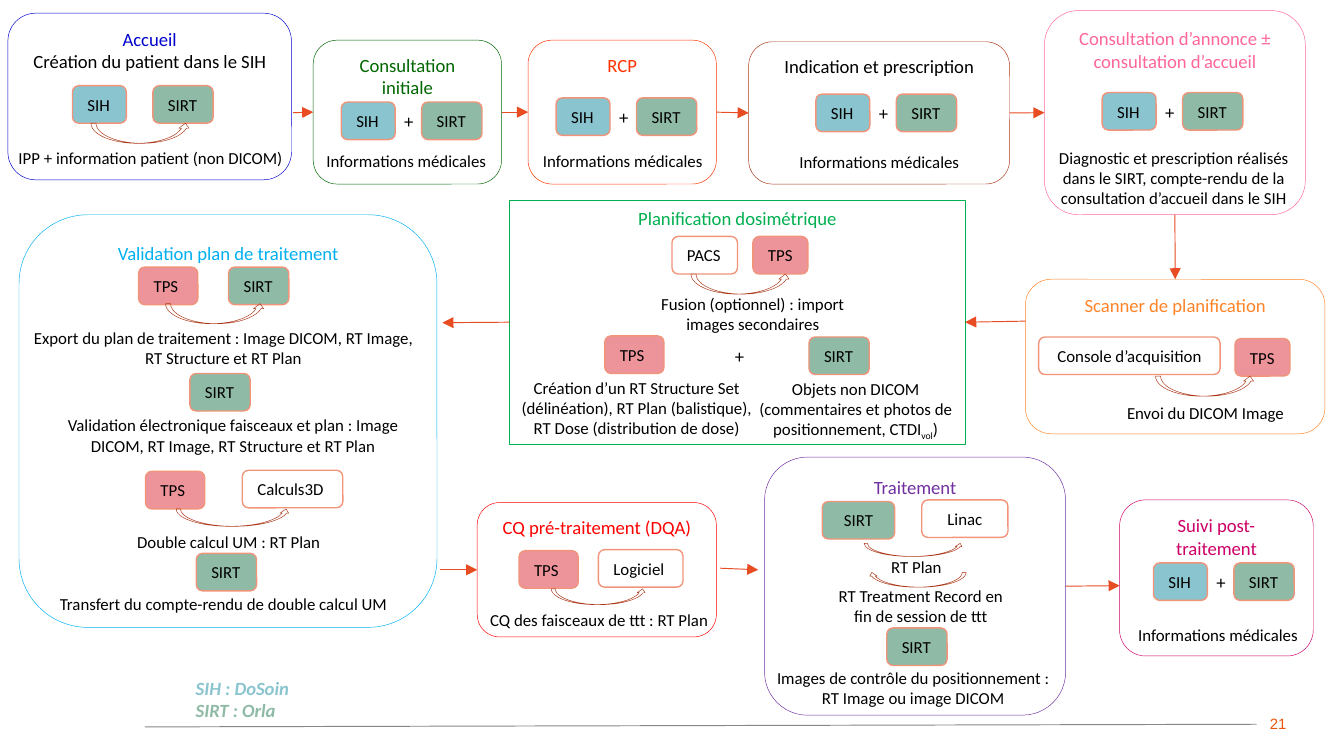
from pptx import Presentation
from pptx.dml.color import RGBColor
from pptx.enum.shapes import MSO_CONNECTOR, MSO_SHAPE
from pptx.enum.text import MSO_ANCHOR, MSO_AUTO_SIZE, PP_ALIGN
from pptx.oxml.ns import qn
from pptx.util import Cm, Pt
from lxml import etree

ROUNDED, RECTANGLE = MSO_SHAPE.ROUNDED_RECTANGLE, MSO_SHAPE.RECTANGLE
CURVED = MSO_SHAPE.CURVED_UP_ARROW
STRAIGHT = MSO_CONNECTOR.STRAIGHT
TOP = MSO_ANCHOR.TOP
LEFT, CENTER = PP_ALIGN.LEFT, PP_ALIGN.CENTER
GROW = MSO_AUTO_SIZE.SHAPE_TO_FIT_TEXT
SITE_TOP, SITE_LEFT, SITE_BOTTOM, SITE_RIGHT = range(4)

BLACK, BLUE, GREEN, PINK = "000000", "8AC4CE", "8EBAA6", "ED949B"
SYSTEMS = {"SIH": (BLUE, 1.02), "SIRT": (GREEN, 1.14), "TPS": (PINK, 1.12)}
CHIP_HEIGHT = 0.71
MEDICAL = "Informations médicales"


def rgb(value):
    return RGBColor.from_string(value)


def style(paragraph, size, color=BLACK, align=LEFT, font="Calibri"):
    paragraph.alignment = align
    for run in paragraph.runs:
        run.font.name, run.font.size = font, Pt(size)
        run.font.color.rgb = rgb(color)


def outlined(slide, kind, x, y, w, h, line, weight, fill=None):
    shape = slide.shapes.add_shape(kind, Cm(x), Cm(y), Cm(w), Cm(h))
    shape.shadow.inherit = False
    shape.line.color.rgb, shape.line.width = rgb(line), Pt(weight)
    if fill:
        shape.fill.solid()
        shape.fill.fore_color.rgb = rgb(fill)
    else:
        shape.fill.background()
    return shape


class Stage:
    """A framed step of the workflow; its parts are placed from its top left corner."""

    def __init__(self, slide, box, title, color, title_color=None, kind=ROUNDED):
        self.slide = slide
        self.x, self.y = box[:2]
        self.frame = outlined(slide, kind, *box, color, 0.25)
        text = self.frame.text_frame
        text.word_wrap, text.vertical_anchor = True, TOP
        text.text = title
        for paragraph, tint in zip(text.paragraphs, (title_color or color, BLACK)):
            style(paragraph, 10, tint, CENTER)

    def chip(self, name, x, y, width=None, align=LEFT):
        fill, usual_width = SYSTEMS.get(name, (None, width))
        chip = outlined(self.slide, ROUNDED, self.x + x, self.y + y,
                        width or usual_width, CHIP_HEIGHT, "F1947A", 0.75, fill)
        text = chip.text_frame
        text.word_wrap, text.auto_size = align == CENTER, GROW
        text.text = name
        style(text.paragraphs[0], 9, align=align)

    def note(self, content, x, y, w, lines=1, wrap=True, size=9):
        box = self.slide.shapes.add_textbox(
            Cm(self.x + x), Cm(self.y + y), Cm(w), Cm(0.25 + 0.39 * lines))
        text = box.text_frame
        text.word_wrap, text.auto_size = wrap, GROW
        text.text = content
        style(text.paragraphs[0], size, align=CENTER if wrap else LEFT)
        return text.paragraphs[0]

    def plus(self, x, y):
        self.note("+", x, y, 0.69, wrap=False, size=10)

    def transfer(self, x, y, w=1.88, h=0.38, backwards=False):
        curve = outlined(self.slide, CURVED, self.x + x, self.y + y, w, h, "AC3819", 0.25)
        if backwards:
            curve._element.spPr.find(qn("a:xfrm")).set("flipH", "1")


def consultation(slide, box, title, color, pair, note_at, title_color=None,
                 note=MEDICAL, note_width=3.58, lines=1):
    """Stage that records in both SIH and SIRT."""
    stage = Stage(slide, box, title, color, title_color)
    x, y = pair
    stage.chip("SIH", x, y)
    stage.plus(x + 0.94, y + 0.03)
    stage.chip("SIRT", x + 1.52, y)
    stage.note(note, *note_at, note_width, lines, wrap=lines > 1)
    return stage.frame


def reception(slide, box):
    stage = Stage(slide, box, "Accueil\nCréation du patient dans le SIH", "0000CC")
    stage.chip("SIH", 1.22, 1.37)
    stage.chip("SIRT", 2.74, 1.37)
    stage.transfer(1.57, 2.08)
    stage.note("IPP + information patient (non DICOM)", -0.05, 2.41, 5.56, wrap=False)


def scanner(slide, box):
    stage = Stage(slide, box, "Scanner de planification", "FF8427")
    stage.chip("Console d’acquisition", 0.25, 1.09, 3.43, CENTER)
    stage.chip("TPS", 3.96, 1.12, 1.04)
    stage.transfer(2.46, 1.83)
    stage.note("Envoi du DICOM Image", 1.57, 2.21, 3.66)
    return stage.frame


def planning(slide, box):
    stage = Stage(slide, box, "Planification dosimétrique", "00B050", kind=RECTANGLE)
    stage.chip("PACS", 3.07, 0.69, 1.24)
    stage.chip("TPS", 4.6, 0.69, 1.04)
    stage.transfer(3.43, 1.4)
    stage.note("Fusion (optionnel) : import images secondaires", 2.41, 1.65, 4.37, 2)
    stage.chip("TPS", 1.8, 2.57)
    stage.plus(4.01, 2.62)
    stage.chip("SIRT", 5.66, 2.59)
    stage.note("Création d’un RT Structure Set (délinéation), RT Plan (balistique), "
               "RT Dose (distribution de dose)", -0.1, 3.23, 5, 3)
    objects = stage.note("Objets non DICOM (commentaires et photos de positionnement, CTDI",
                         4.47, 3.25, 4.14, 3)
    subscript = objects.add_run()
    subscript.text = "vol"
    objects.add_run().text = ")"
    style(objects, 9, align=CENTER)
    subscript.font._element.set("baseline", "-25000")
    return stage.frame


def validation(slide, box):
    stage = Stage(slide, box, "Validation plan de traitement", "00B0F0")
    stage.chip("TPS", 2.26, 0.99)
    stage.chip("SIRT", 3.96, 0.99)
    stage.transfer(2.77, 1.68)
    stage.note("Export du plan de traitement : Image DICOM, RT Image, "
               "RT Structure et RT Plan", 0, 2.01, 7.72, 2)
    stage.chip("SIRT", 3.23, 3)
    stage.note("Validation électronique faisceaux et plan : Image DICOM, RT Image, "
               "RT Structure et RT Plan", 0.18, 3.66, 7.72, 2)
    stage.chip("TPS", 2.39, 4.85)
    stage.chip("Calculs3D", 4.22, 4.83, 1.9)
    stage.transfer(2.97, 5.56, 2.16, 0.33)
    stage.note("Double calcul UM : RT Plan", 0.1, 5.87, 7.72)
    stage.chip("SIRT", 3.35, 6.4)
    stage.note("Transfert du compte-rendu de double calcul UM", 0, 7.04, 7.72)


def quality_check(slide, box):
    stage = Stage(slide, box, "CQ pré-traitement (DQA)", "FF0000")
    stage.chip("TPS", 0.79, 0.91)
    stage.chip("Logiciel", 2.29, 0.89, 1.6)
    stage.transfer(1.4, 1.63, 1.8, 0.3)
    stage.note("CQ des faisceaux de ttt : RT Plan", -0.05, 1.9, 4.7)
    return stage.frame


def treatment(slide, box):
    stage = Stage(slide, box, "Traitement", "7030A0")
    stage.chip("SIRT", 1.09, 0.84, 1.37, CENTER)
    stage.chip("Linac", 2.97, 0.81, 1.63, CENTER)
    stage.transfer(1.88, 1.63, h=0.25)
    stage.note("RT Plan", 1.04, 1.75, 3.66)
    stage.transfer(1.96, 2.18, 1.85, 0.28, backwards=True)
    stage.note("RT Treatment Record en fin de session de ttt", 1.12, 2.31, 3.66, 2)
    stage.chip("SIRT", 2.31, 3.23)
    stage.note("Images de contrôle du positionnement : RT Image ou image DICOM",
               -0.08, 3.86, 5.77, 2)
    return stage.frame


def connector(slide, x1, y1, x2, y2, color):
    line = slide.shapes.add_connector(STRAIGHT, Cm(x1), Cm(y1), Cm(x2), Cm(y2))
    line.line.color.rgb, line.line.width = rgb(color), Pt(0.5)
    etree.SubElement(line._element.spPr, qn("a:effectLst"))
    return line


def flow(slide, start, end):
    """Arrow between two ends, each either (x, y) in cm or (frame, site)."""
    points = [(0, 0) if hasattr(p[0], "shape_id") else p for p in (start, end)]
    arrow = connector(slide, *points[0], *points[1], "E84C22")
    for end_point, join in ((start, arrow.begin_connect), (end, arrow.end_connect)):
        if hasattr(end_point[0], "shape_id"):
            join(*end_point)
    etree.SubElement(arrow.line._get_or_add_ln(), qn("a:tailEnd"), type="triangle")


def footer(slide, x, y):
    connector(slide, x, y + 1.07, x + 21.01, y + 1.02, "878787")
    number = slide.shapes.add_textbox(Cm(x + 21.01), Cm(y + 0.72), Cm(1.09), Cm(0.64))
    number.text_frame.text = "21"
    style(number.text_frame.paragraphs[0], 8, "EA560D", font="Arial")
    legend = slide.shapes.add_textbox(Cm(x + 0.71), Cm(y), Cm(2.31), Cm(1.12)).text_frame
    legend.word_wrap, legend.auto_size = False, GROW
    legend.text = "SIH : DoSoin\nSIRT : Orla"
    for paragraph, color in zip(legend.paragraphs, (BLUE, GREEN)):
        style(paragraph, 10, color)
        paragraph.runs[0].font.bold = paragraph.runs[0].font.italic = True


def main():
    deck = Presentation()
    deck.slide_width, deck.slide_height = Cm(25.4), Cm(14.29)
    slide = deck.slides.add_slide(deck.slide_layouts[6])

    reception(slide, (0.15, 0.25, 5.36, 3.15))
    first = consultation(slide, (5.92, 0.76, 3.56, 2.72), "Consultation initiale",
                         "006600", (0.53, 1.17), (0, 1.96))
    meeting = consultation(slide, (9.98, 0.76, 3.56, 2.72), "RCP", "FF3300",
                           (0.53, 1.09), (0.03, 1.96))
    indication = consultation(slide, (14.15, 0.79, 4.93, 2.69), "Indication et prescription",
                              "AC3819", (1.27, 0.99), (0.71, 1.96), BLACK)
    announcement = consultation(
        slide, (19.74, 0.2, 4.93, 3.86), "Consultation d’annonce ± consultation d’accueil",
        "FF6699", (1.09, 1.55), (-0.28, 2.46), note_width=5.44, lines=3,
        note="Diagnostic et prescription réalisés dans le SIRT, compte-rendu de la "
             "consultation d’accueil dans le SIH")
    scan = scanner(slide, (19.38, 5.28, 5.66, 2.92))
    plan = planning(slide, (9.63, 3.78, 8.61, 4.62))
    validation(slide, (0.36, 4.06, 7.9, 7.8))
    check = quality_check(slide, (9.02, 9.5, 4.52, 2.54))
    session = treatment(slide, (14.45, 8.64, 5.69, 4.88))
    consultation(slide, (21.16, 9.45, 3.66, 2.95), "Suivi post-traitement", "CC0066",
                 (0.64, 1.19), (0.1, 2.24))

    flow(slide, (5.54, 2.13), (first, SITE_LEFT))
    chain = (first, meeting, indication, announcement)
    for before, after in zip(chain, chain[1:]):
        flow(slide, (before, SITE_RIGHT), (after, SITE_LEFT))
    flow(slide, (announcement, SITE_BOTTOM), (scan, SITE_TOP))
    flow(slide, (19.38, 6.07), (plan, SITE_RIGHT))
    flow(slide, (plan, SITE_LEFT), (8.36, 6.1))
    flow(slide, (8.31, 10.77), (check, SITE_LEFT))
    flow(slide, (13.61, 10.74), (14.33, 10.77))
    flow(slide, (session, SITE_RIGHT), (21.16, 11.07))
    footer(slide, 2.74, 12.67)
    deck.save("out.pptx")


if __name__ == "__main__":
    main()
